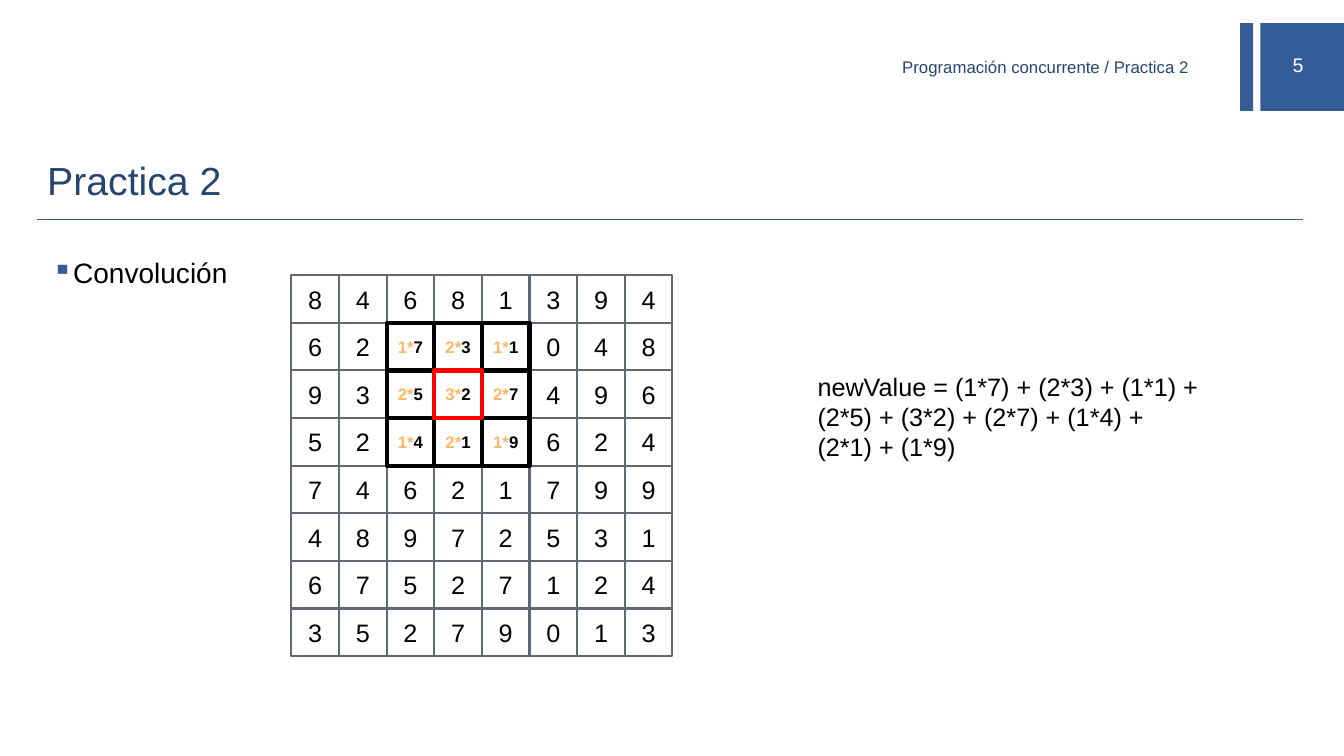
from itertools import product
from lxml.etree import SubElement
from pptx import Presentation
from pptx.dml.color import RGBColor
from pptx.enum.shapes import MSO_CONNECTOR, MSO_SHAPE
from pptx.enum.text import MSO_ANCHOR, PP_ALIGN
from pptx.oxml.ns import qn
from pptx.util import Inches, Pt

HEX = {"blue": "345C97", "navy": "274571", "gray": "616873", "black": "000000",
       "red": "FF0000", "orange": "FFB666", "white": "FFFFFF"}
GRID = ["84681394", "62731048", "93527496", "52419624",
        "74621799", "48972531", "67527124", "35279013"]
KERNEL = ["121", "232", "121"]
FIRST = 1, 2  # row and column where the kernel starts
LEFT, TOP, SIDE = 2.89, 2.73, 3.78
STEP = SIDE / len(GRID)


def color(name):
    return RGBColor.from_string(HEX[name])


def write(frame, runs, size, align=PP_ALIGN.LEFT, anchor=MSO_ANCHOR.MIDDLE, bold=False):
    """Fill a frame with one paragraph of (text, colour) runs."""
    frame.word_wrap = True
    frame.vertical_anchor = anchor
    para = frame.paragraphs[0]
    para.alignment = align
    para.font.name = "Arial"
    para.font.size = Pt(size)
    para.font.bold = bold
    for text, name in runs:
        run = para.add_run()
        run.text = text
        run.font.color.rgb = color(name)
    return para


def label(slide, box, text, size, name, **style):
    frame = slide.shapes.add_textbox(*map(Inches, box)).text_frame
    return write(frame, [(text, name)], size, **style)


def rect(slide, box, fill=None, line=None, width=1.5):
    shape = slide.shapes.add_shape(MSO_SHAPE.RECTANGLE, *map(Inches, box))
    shape.shadow.inherit = False
    if fill:
        shape.fill.solid()
        shape.fill.fore_color.rgb = color(fill)
    else:
        shape.fill.background()
    if line:
        shape.line.color.rgb = color(line)
        shape.line.width = Pt(width)
    else:
        shape.line.fill.background()
    return shape


def cell(slide, row, col, runs, size, line, width, bold=False):
    box = LEFT + col * STEP, TOP + row * STEP, STEP, STEP
    frame = rect(slide, box, line=line, width=width).text_frame
    frame.margin_left = frame.margin_right = 0
    write(frame, runs, size, PP_ALIGN.CENTER, bold=bold)


def rule(slide, x, y, end):
    line = slide.shapes.add_connector(
        MSO_CONNECTOR.STRAIGHT, Inches(x), Inches(y), Inches(end), Inches(y))
    line.line.color.rgb = color("blue")
    line.line.width = Pt(1)
    SubElement(line._element.spPr, qn("a:effectLst"))


def bullet(para):
    props = para._p.get_or_add_pPr()
    props.set("marL", str(Inches(0.25)))
    props.set("indent", str(Inches(-0.2)))
    tint = SubElement(props, qn("a:buClr"))
    SubElement(tint, qn("a:srgbClr"), val=HEX["blue"])
    # Schema order: bullet marks come before the default run properties
    mark = SubElement(props, qn("a:buChar"), char="▪")
    font = props.find(qn("a:defRPr"))
    font.addprevious(tint)
    font.addprevious(mark)


def matrix(slide):
    """Draw the number grid, then the kernel over it, centre last."""
    spots = list(product(range(len(KERNEL)), repeat=2))
    top, left = FIRST
    covered = {(top + r, left + c) for r, c in spots}
    for r, c in product(range(len(GRID)), repeat=2):
        runs = [] if (r, c) in covered else [(GRID[r][c], "black")]
        cell(slide, r, c, runs, 18, "gray", 1.5)
    for r, c in sorted(spots, key=lambda spot: spot == (1, 1)):
        row, col = top + r, left + c
        runs = [(KERNEL[r][c] + "*", "orange"), (GRID[row][col], "black")]
        line = "red" if (r, c) == (1, 1) else "black"
        cell(slide, row, col, runs, 12, line, 3, bold=True)


def main():
    deck = Presentation()
    deck.slide_width, deck.slide_height = Inches(13.33), Inches(7.5)
    slide = deck.slides.add_slide(deck.slide_layouts[6])

    # Header and page number
    rect(slide, (12.3, 0.23, 0.13, 0.87), "blue")
    rect(slide, (12.5, 0.23, 0.84, 0.87), "blue")
    label(slide, (12.44, 0.44, 0.87, 0.4), "5", 14, "white", align=PP_ALIGN.CENTER)
    label(slide, (6.64, 0.5, 5.25, 0.33), "Programación concurrente / Practica 2",
          12, "navy", align=PP_ALIGN.RIGHT)

    # Title
    rule(slide, 0.37, 2.18, 12.92)
    label(slide, (0.37, 1.39, 12.55, 0.79), "Practica 2", 28, "navy")

    # Topic
    topic = label(slide, (0.37, 2.49, 2.2, 4.41), "Convolución", 20, "black",
                  anchor=MSO_ANCHOR.TOP)
    topic.space_before = Pt(2)
    bullet(topic)

    # Convolution and its result
    matrix(slide)
    terms = [f"({k}*{GRID[FIRST[0] + r][FIRST[1] + c]})"
             for r, row in enumerate(KERNEL) for c, k in enumerate(row)]
    label(slide, (8.01, 3.63, 4.02, 1.01), "newValue = " + " + ".join(terms),
          18, "black", anchor=MSO_ANCHOR.TOP)

    deck.save("out.pptx")


main()
